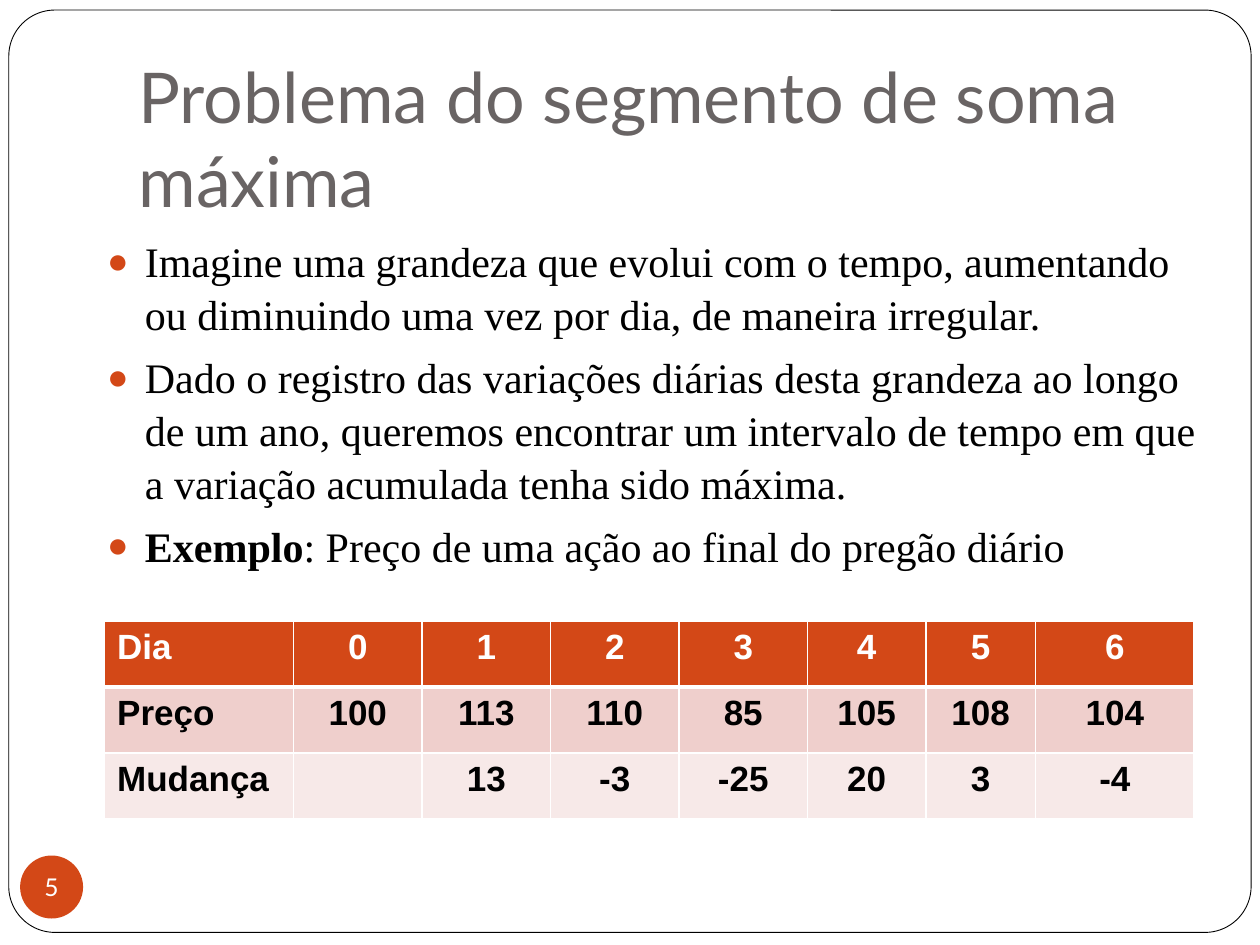
from lxml import etree
from pptx import Presentation, util as u
from pptx.dml.color import RGBColor
from pptx.enum import shapes, text
from pptx.oxml.ns import qn

COLORS = {
    "white": "FFFFFF", "black": "000000", "gray": "696464",
    "orange": "D34817", "rose": "EFCFCC", "pale": "F7E9E8",
}
POINTS = [
    [("Imagine uma grandeza que evolui com o tempo, aumentando ou "
      "diminuindo uma vez por dia, de maneira irregular.", False)],
    [("Dado o registro das variações diárias desta grandeza ao longo de um "
      "ano, queremos encontrar um intervalo de tempo em que a variação "
      "acumulada tenha sido máxima.", False)],
    [("Exemplo", True),
     (": Preço de uma ação ao final do pregão diário", False)],
]
ROWS = [
    ["Dia", "0", "1", "2", "3", "4", "5", "6"],
    ["Preço", "100", "113", "110", "85", "105", "108", "104"],
    ["Mudança", "", "13", "-3", "-25", "20", "3", "-4"],
]
WIDTHS = [1.5, 1.02, 1.02, 1.02, 1.02, 0.94, 0.87, 1.26]


def rgb(name):
    return RGBColor.from_string(COLORS[name])


def box(*sides):
    return [u.Inches(side) for side in sides]


def write(para, words, font="Lato", size=24, color="black", bold=False, align=None):
    run = para.add_run()
    run.text = words
    run.font.name, run.font.size, run.font.bold = font, u.Pt(size), bold
    run.font.color.rgb = rgb(color)
    if align is not None:
        para.alignment = align


def child(parent, tag, **attrs):
    return etree.SubElement(parent, qn(tag), attrs)


def bullet(para):
    props = para._p.get_or_add_pPr()
    props.set("marL", str(u.Inches(0.3)))
    props.set("indent", str(-u.Inches(0.3)))
    child(child(props, "a:buClr"), "a:srgbClr", val=COLORS["orange"])
    child(props, "a:buSzPct", val="85000")
    child(props, "a:buFont", typeface="Arial")
    child(props, "a:buChar", char="●")


def border(cell, bottom):
    props = cell._tc.get_or_add_tcPr()
    for side, width in zip("LRTB", (1, 1, 1, bottom)):
        line = child(props, f"a:ln{side}", w=str(u.Pt(width)))
        child(child(line, "a:solidFill"), "a:srgbClr", val=COLORS["white"])


class Deck:
    def __init__(self):
        self.prs = Presentation()
        self.prs.slide_width, self.prs.slide_height = box(10, 7.5)
        self.slide = self.prs.slides.add_slide(self.prs.slide_layouts[1])

    def place(self, holder, *sides):
        holder.left, holder.top, holder.width, holder.height = box(*sides)
        frame = holder.text_frame
        frame.word_wrap = True
        frame.auto_size = text.MSO_AUTO_SIZE.NONE
        return frame

    def shape(self, kind, *sides, fill):
        item = self.slide.shapes.add_shape(kind, *box(*sides))
        item.shadow.inherit = False
        item.fill.solid()
        item.fill.fore_color.rgb = rgb(fill)
        return item

    def frame(self):
        """Draw the rounded page border behind everything else."""
        item = self.shape(shapes.MSO_SHAPE.ROUNDED_RECTANGLE,
                          0.07, 0.08, 9.86, 7.32, fill="white")
        item.adjustments[0] = 0.05
        item.line.color.rgb, item.line.width = rgb("black"), u.Pt(0.5)
        self.slide.shapes._spTree.insert(2, item._element)

    def title(self, words):
        frame = self.place(self.slide.shapes.title, 1, 0.61, 8.8, 1.25)
        frame.vertical_anchor = text.MSO_ANCHOR.BOTTOM
        frame.margin_bottom = u.Inches(0.1)
        write(frame.paragraphs[0], words, size=40, color="gray",
              align=text.PP_ALIGN.LEFT)

    def list(self, points):
        frame = self.place(self.slide.placeholders[1], 0.75, 1.8, 8.98, 5.41)
        for i, parts in enumerate(points):
            para = frame.add_paragraph() if i else frame.paragraphs[0]
            bullet(para)
            para.space_before = u.Pt(5.8 if i else 0)
            para.line_spacing = 1.05
            for words, bold in parts:
                write(para, words, font="Times New Roman", bold=bold)

    def table(self, rows, widths):
        grid = self.slide.shapes.add_table(
            len(rows), len(widths), *box(0.83, 4.93, sum(widths), 1.57)).table
        for col, width in zip(grid.columns, widths):
            col.width = u.Inches(width)
        for r, (row, fill) in enumerate(zip(rows, ("orange", "rose", "pale"))):
            for c, words in enumerate(row):
                cell = grid.cell(r, c)
                border(cell, bottom=1 if r else 3)
                cell.fill.solid()
                cell.fill.fore_color.rgb = rgb(fill)
                if words:
                    write(cell.text_frame.paragraphs[0], words, font="Arial",
                          size=20, color="black" if r else "white", bold=True,
                          align=text.PP_ALIGN.CENTER if c else None)

    def badge(self, number):
        item = self.shape(shapes.MSO_SHAPE.OVAL, 0.16, 6.79, 0.5, 0.5, fill="orange")
        item.line.fill.background()
        frame = item.text_frame
        frame.margin_left = frame.margin_right = 0
        frame.margin_top = frame.margin_bottom = 0
        frame.word_wrap = False
        frame.vertical_anchor = text.MSO_ANCHOR.MIDDLE
        write(frame.paragraphs[0], number, size=14, color="white",
              align=text.PP_ALIGN.CENTER)


def main():
    deck = Deck()
    deck.frame()
    deck.title("Problema do segmento de soma máxima")
    deck.list(POINTS)
    deck.table(ROWS, WIDTHS)
    deck.badge("5")
    deck.prs.save("out.pptx")


if __name__ == "__main__":
    main()
